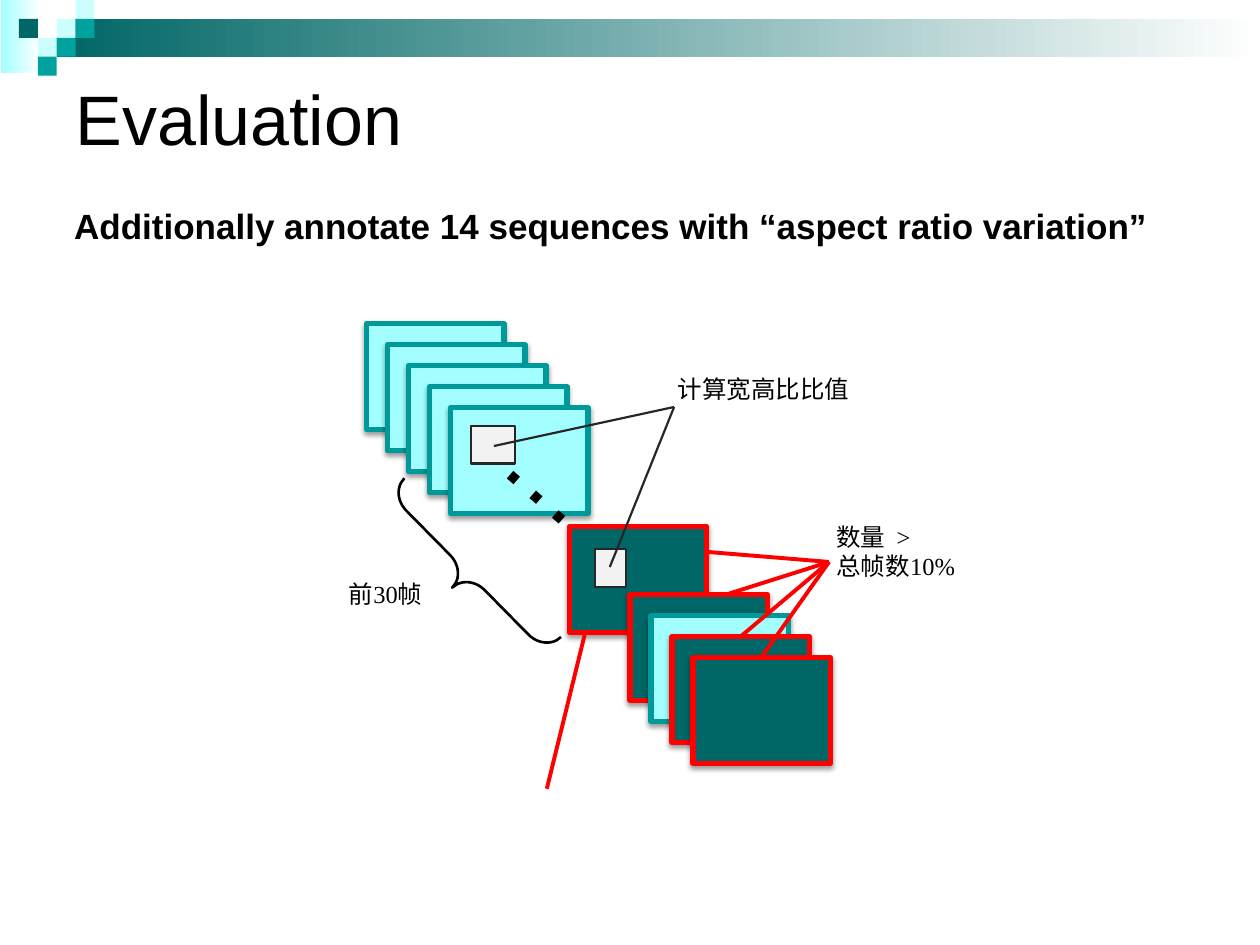
from pptx import Presentation
from pptx.dml.color import RGBColor
from pptx.enum.shapes import MSO_CONNECTOR, MSO_SHAPE
from pptx.enum.text import MSO_ANCHOR, PP_ALIGN
from pptx.oxml import parse_xml
from pptx.oxml.ns import nsdecls
from pptx.util import Inches, Pt

COLORS = {
    "black": "000000", "white": "FFFFFF", "ink": "262626", "paper": "F2F2F2",
    "deep": "006666", "teal": "00A29E", "edge": "009999", "pale": "CDFFFF",
    "aqua": "A3FFFF", "red": "FF0000",
}
SERIF = "Times New Roman"
FRAME_STEP = 1 / 6


def rgb(name):
    return RGBColor.from_string(COLORS[name])


def write_text(tf, text, size=14, font="Arial", bold=False, anchor=MSO_ANCHOR.TOP):
    tf.word_wrap = True
    tf.vertical_anchor = anchor
    for i, line in enumerate(text.split("\n")):
        p = tf.paragraphs[0] if i == 0 else tf.add_paragraph()
        p.alignment = PP_ALIGN.LEFT
        r = p.add_run()
        r.text = line
        r.font.size, r.font.name, r.font.bold = Pt(size), font, bold
        r.font.color.rgb = rgb("black")


def add_text(s, text, x, y, w, h, rotation=0, **fmt):
    sp = s.shapes.add_textbox(Inches(x), Inches(y), Inches(w), Inches(h))
    sp.rotation = rotation
    write_text(sp.text_frame, text, **fmt)


def add_rect(s, x, y, w, h, fill, line=None, width=1.25):
    sp = s.shapes.add_shape(MSO_SHAPE.RECTANGLE, Inches(x), Inches(y), Inches(w), Inches(h))
    sp.shadow.inherit = False
    if isinstance(fill, tuple):
        sp.fill.gradient()
        sp.fill.gradient_angle = 0
        for stop, name, position in zip(sp.fill.gradient_stops, fill, (0, 1)):
            stop.color.rgb = rgb(name)
            stop.position = position
    else:
        sp.fill.solid()
        sp.fill.fore_color.rgb = rgb(fill)
    if line:
        sp.line.color.rgb = rgb(line)
        sp.line.width = Pt(width)
    else:
        sp.line.fill.background()
    return sp


def add_frame(s, x, y, marked=False):
    fill, line = ("deep", "red") if marked else ("aqua", "edge")
    sp = add_rect(s, x, y, 1.09, 0.84, fill, line, 3)
    effects = sp._element.spPr.find("{*}effectLst")
    effects.append(parse_xml(
        f'<a:outerShdw {nsdecls("a")} blurRad="{Pt(3.1)}" dist="{Pt(1.6)}" dir="5400000" rotWithShape="0">'
        f'<a:srgbClr val="{COLORS["black"]}"><a:alpha val="38000"/></a:srgbClr></a:outerShdw>'))


def add_line(s, start, end, color, width):
    c = s.shapes.add_connector(MSO_CONNECTOR.STRAIGHT, *map(Inches, start + end))
    c.line.color.rgb = rgb(color)
    c.line.width = Pt(width)
    c._element.spPr.append(parse_xml(f'<a:effectLst {nsdecls("a")}/>'))


def add_brace(s, x, y, w, h, rotation):
    sp = s.shapes.add_shape(MSO_SHAPE.LEFT_BRACE, Inches(x), Inches(y), Inches(w), Inches(h))
    sp.shadow.inherit = False
    sp.rotation = rotation
    sp.adjustments[0] = 0.572
    sp.fill.background()
    sp.line.color.rgb = rgb("black")
    sp.line.width = Pt(1.5)


def add_banner(s):
    add_rect(s, 0.01, 0, 0.31, 0.58, ("aqua", "white"))
    add_rect(s, 0.45, 0.15, 9.55, 0.3, ("deep", "white"))
    tiles = [(3, 1, "pale"), (4, 0, "pale"), (4, 1, "teal"), (2, 2, "pale"),
             (1, 1, "deep"), (3, 2, "teal"), (2, 3, "teal")]
    for col, row, color in tiles:
        add_rect(s, col * 0.15, row * 0.15, 0.15, 0.15, color)


def add_title(s, text):
    sp = s.shapes.title
    sp.left, sp.top, sp.width, sp.height = map(Inches, (0.5, 0.36, 9, 1.14))
    write_text(sp.text_frame, text, size=40, anchor=MSO_ANCHOR.MIDDLE)


def add_sequence(s):
    for i in range(5):
        add_frame(s, 2.91 + i * FRAME_STEP, 2.57 + i * FRAME_STEP)
    add_text(s, "…..", 3.82, 3.61, 2.04, 1.01, rotation=41, size=54)
    add_frame(s, 4.52, 4.18, marked=True)
    for i, marked in enumerate((True, False, True, True)):
        add_frame(s, 5 + i * FRAME_STEP, 4.72 + i * FRAME_STEP, marked)


def add_annotations(s):
    add_brace(s, 3.54, 3.66, 0.34, 1.77, 315.4)
    add_text(s, "前30帧", 2.67, 4.55, 1.16, 0.34, font=SERIF)
    add_line(s, (4.64, 5.04), (4.34, 6.26), "red", 2.25)
    for end in ((5.61, 4.38), (5.76, 4.72), (5.88, 5.05), (6.04, 5.22)):
        add_line(s, (6.58, 4.46), end, "red", 2.25)
    add_text(s, "数量  >\n总帧数10%", 6.54, 4.09, 1.18, 0.57, font=SERIF)
    add_rect(s, 4.72, 4.36, 0.25, 0.3, "paper", "ink")
    add_rect(s, 3.74, 3.38, 0.35, 0.3, "paper", "ink")
    for start in ((3.92, 3.54), (4.84, 4.5)):
        add_line(s, start, (5.35, 3.23), "ink", 1.25)
    add_text(s, "计算宽高比比值", 5.28, 2.92, 1.96, 0.34, font=SERIF)


def main():
    prs = Presentation()
    prs.slide_width, prs.slide_height = Inches(10), Inches(7.5)
    s = prs.slides.add_slide(prs.slide_layouts[5])
    add_banner(s)
    add_title(s, "Evaluation")
    add_text(s, "Additionally annotate 14 sequences with “aspect ratio variation”",
             0.49, 1.57, 8.95, 0.44, size=20, bold=True)
    add_sequence(s)
    add_annotations(s)
    prs.save("out.pptx")


if __name__ == "__main__":
    main()
